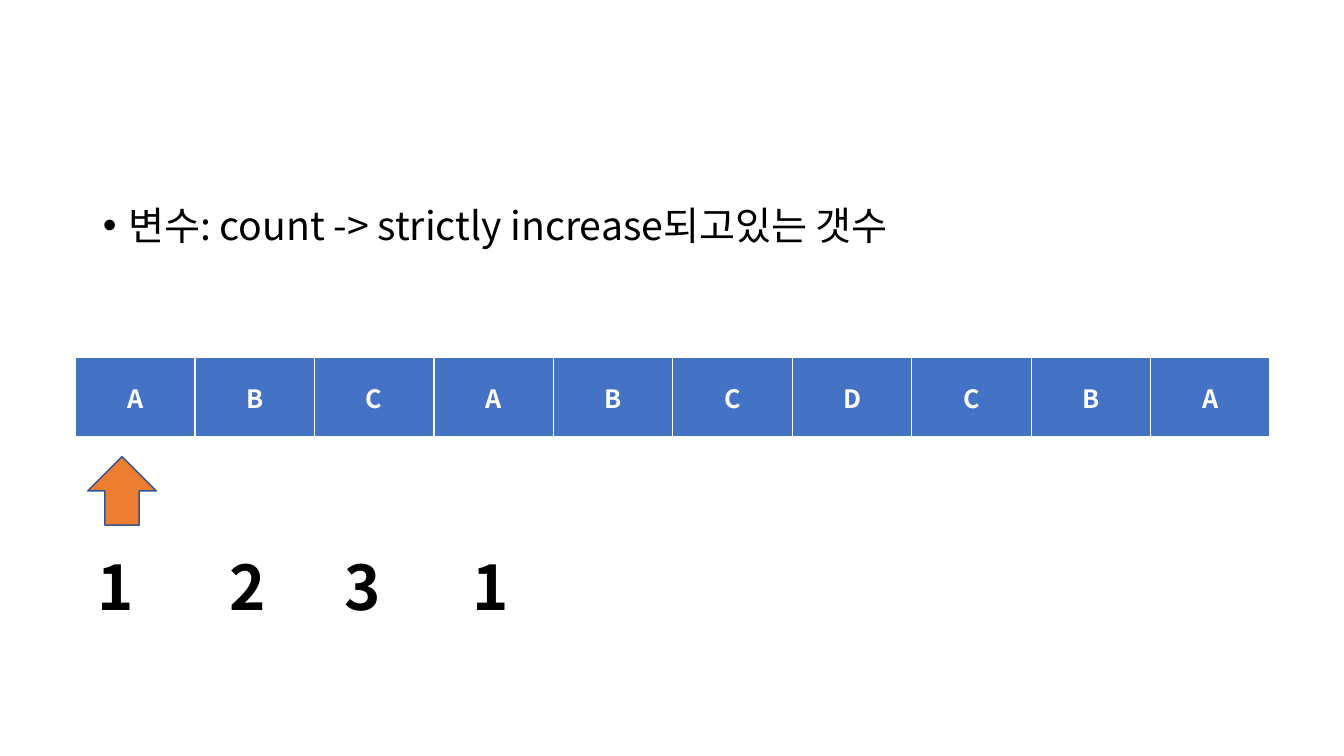
import pptx
import pptx.dml.color
import pptx.enum.shapes
import pptx.enum.text
import pptx.oxml
import pptx.oxml.ns
import pptx.util

Inches = pptx.util.Inches
Pt = pptx.util.Pt
FONT = "Noto Sans CJK KR"
LETTERS = "ABCABCDCBA"
COUNTS = [(0, "1"), (1.31, "2"), (2.45, "3"), (3.72, "1")]


def paint(color_format, hex_color):
    color_format.rgb = pptx.dml.color.RGBColor.from_string(hex_color)


def fill_solid(target, hex_color):
    target.fill.solid()
    paint(target.fill.fore_color, hex_color)


def drawing_element(tag, **attributes):
    element = pptx.oxml.parse_xml(f"<a:{tag} {pptx.oxml.ns.nsdecls('a')}/>")
    for name, value in attributes.items():
        element.set(name, str(value))
    return element


def write_text(text_frame, text, size=18, color="000000", bold=False, align=None):
    paragraph = text_frame.paragraphs[0]
    paragraph.alignment = align
    run = paragraph.add_run()
    run.text = text
    run.font.name = FONT
    run.font.size = Pt(size)
    run.font.bold = bold
    paint(run.font.color, color)
    latin = run.font._element.find(pptx.oxml.ns.qn("a:latin"))
    latin.addnext(drawing_element("ea", typeface=FONT))
    return paragraph


def add_border(cell, side, width):
    line = drawing_element(f"ln{side}", w=Pt(width))
    fill = drawing_element("solidFill")
    fill.append(drawing_element("srgbClr", val="FFFFFF"))
    line.append(fill)
    cell._tc.get_or_add_tcPr().append(line)


def place_body(slide, left, top, width, height):
    body = slide.placeholders[1]
    body.left, body.top = Inches(left), Inches(top)
    body.width, body.height = Inches(width), Inches(height)
    body.text_frame.auto_size = pptx.enum.text.MSO_AUTO_SIZE.NONE
    paragraph = write_text(
        body.text_frame, "변수: count -> strictly increase되고있는 갯수", size=28
    )
    paragraph.line_spacing = 0.9
    paragraph.space_before = Pt(10)
    properties = paragraph._p.get_or_add_pPr()
    properties.set("marL", str(Inches(0.25)))
    properties.set("indent", str(Inches(-0.25)))
    properties.append(drawing_element("buFont", typeface="Arial"))
    properties.append(drawing_element("buChar", char="•"))


def add_letter_table(slide, left, top, width, height):
    table = slide.shapes.add_table(
        1, len(LETTERS), Inches(left), Inches(top), Inches(width), Inches(height)
    ).table
    table.horz_banding = False
    for column, letter in enumerate(LETTERS):
        table.columns[column].width = Inches(width / len(LETTERS))
        cell = table.cell(0, column)
        for side, line_width in (("L", 1), ("R", 1), ("T", 1), ("B", 3)):
            add_border(cell, side, line_width)
        fill_solid(cell, "4472C4")
        cell.vertical_anchor = pptx.enum.text.MSO_ANCHOR.MIDDLE
        write_text(
            cell.text_frame, letter, color="FFFFFF", bold=True,
            align=pptx.enum.text.PP_ALIGN.CENTER,
        )


def add_pointer(slide, left, top, size):
    arrow = slide.shapes.add_shape(
        pptx.enum.shapes.MSO_SHAPE.DOWN_ARROW,
        Inches(left), Inches(top), Inches(size), Inches(size),
    )
    arrow.rotation = 180
    arrow.shadow.inherit = False
    fill_solid(arrow, "ED7D31")
    paint(arrow.line.color, "325491")
    arrow.line.width = Pt(1)


def add_counts(slide, left, top, width, height):
    for offset, count in COUNTS:
        box = slide.shapes.add_textbox(
            Inches(left + offset), Inches(top), Inches(width), Inches(height)
        )
        box.text_frame.word_wrap = True
        box.text_frame.auto_size = pptx.enum.text.MSO_AUTO_SIZE.SHAPE_TO_FIT_TEXT
        write_text(box.text_frame, count, size=44, bold=True)


def main():
    presentation = pptx.Presentation()
    presentation.slide_width = Inches(13.33)
    presentation.slide_height = Inches(7.5)
    slide = presentation.slides.add_slide(presentation.slide_layouts[1])
    title = slide.shapes.title._element
    title.getparent().remove(title)
    fill_solid(slide.background, "FFFFFF")
    place_body(slide, 0.92, 2, 11.5, 4.76)
    add_letter_table(slide, 0.75, 3.55, 11.85, 0.79)
    add_pointer(slide, 0.87, 4.53, 0.68)
    add_counts(slide, 0.87, 5.4, 0.68, 0.84)
    presentation.save("out.pptx")


if __name__ == "__main__":
    main()
